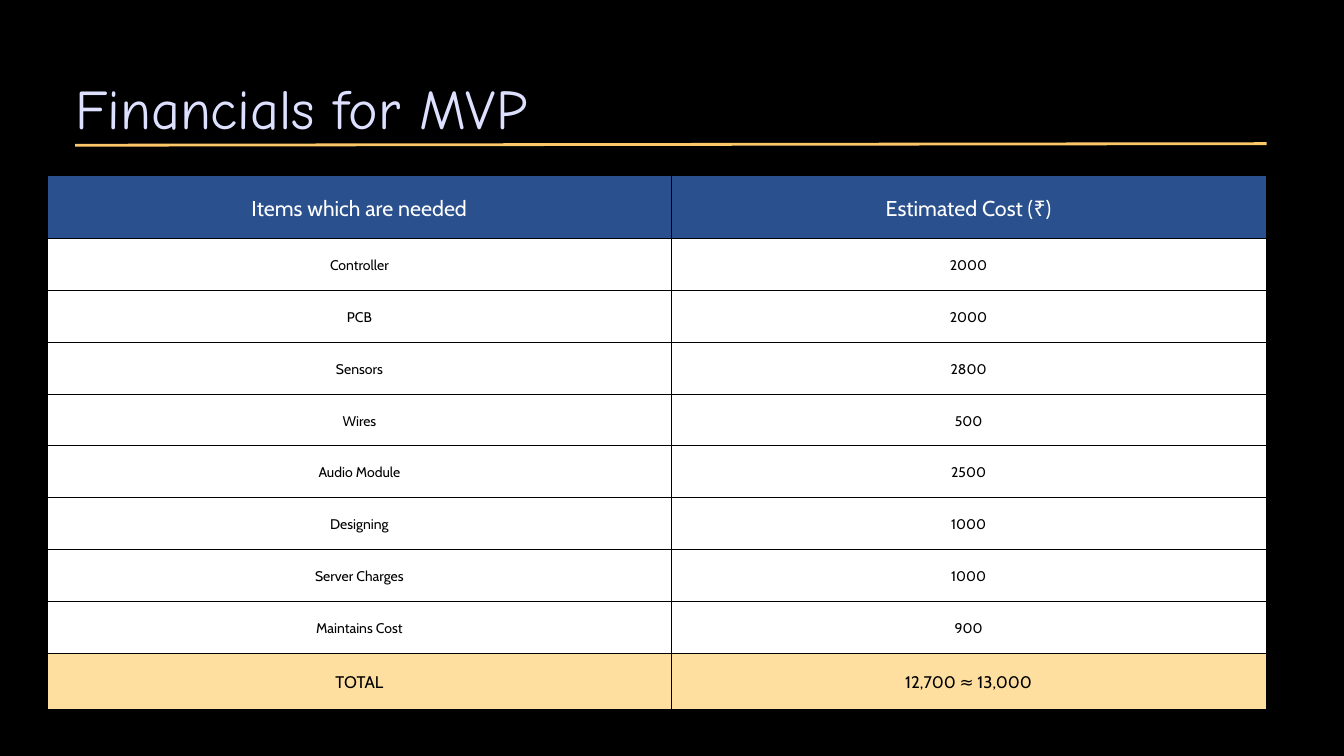
"""Build the cost table slide."""
from lxml import etree
from pptx import Presentation
from pptx.dml.color import RGBColor
from pptx.enum.shapes import MSO_CONNECTOR as Connector
from pptx.enum.text import MSO_ANCHOR as Anchor, MSO_AUTO_SIZE as AutoSize, PP_ALIGN as Align
from pptx.oxml.ns import qn
from pptx.util import Cm, Pt

BLACK, WHITE, BLUE, SAND = "000000", "FFFFFF", "2A508D", "FEDFA0"
LAVENDER, GOLD = "DDE1FF", "FEC868"
HEADER = ("Items which are needed", "Estimated Cost (₹)")
COSTS = [
    ("Controller", "2000"),
    ("PCB", "2000"),
    ("Sensors", "2800"),
    ("Wires", "500"),
    ("Audio Module", "2500"),
    ("Designing", "1000"),
    ("Server Charges", "1000"),
    ("Maintains Cost", "900"),
]
TOTAL = ("TOTAL", "12,700 ≈ 13,000")


def color(value):
    """Turn a hex string into a colour."""
    return RGBColor.from_string(value)


def set_margins(holder, margin):
    """Give a cell or text frame the same margin on all sides."""
    for side in ("left", "top", "right", "bottom"):
        setattr(holder, f"margin_{side}", margin)


def write(para, text, font, size, ink, spacing):
    """Add one styled run to a paragraph."""
    para.line_spacing = Pt(spacing)
    span = para.add_run()
    span.text = text
    span.font.name = font
    span.font.size = Pt(size)
    span.font.color.rgb = color(ink)


def add_title(page, text):
    """Add the slide title."""
    box = page.shapes.add_textbox(Cm(2.84), Cm(3.2), Cm(24.1), Cm(2.26))
    frame = box.text_frame
    frame.word_wrap = True
    frame.auto_size = AutoSize.SHAPE_TO_FIT_TEXT
    set_margins(frame, 0)
    write(frame.paragraphs[0], text, "Comic Neue", 60, LAVENDER, 60)


def add_rule(page):
    """Add the slightly slanted line below the title."""
    rule = page.shapes.add_connector(Connector.STRAIGHT, Cm(2.84), Cm(5.49), Cm(47.88), Cm(5.43))
    rule.line.color.rgb = color(GOLD)
    rule.line.width = Pt(3)
    etree.SubElement(rule._element.spPr, qn("a:effectLst"))


def add_borders(cell, ink, width):
    """Draw a thin line on each side of a cell."""
    properties = cell._tc.get_or_add_tcPr()
    for side in ("lnL", "lnR", "lnT", "lnB"):
        border = etree.SubElement(properties, qn(f"a:{side}"), w=str(Pt(width)))
        fill = etree.SubElement(border, qn("a:solidFill"))
        etree.SubElement(fill, qn("a:srgbClr"), val=ink)


def fill_row(row, texts, height, size, ink, background):
    """Set the height, text and look of one table row."""
    row.height = Cm(height)
    for cell, text in zip(row.cells, texts):
        add_borders(cell, BLACK, 0.75)
        cell.fill.solid()
        cell.fill.fore_color.rgb = color(background)
        cell.vertical_anchor = Anchor.MIDDLE
        set_margins(cell, Cm(0.53))
        para = cell.text_frame.paragraphs[0]
        para.alignment = Align.CENTER
        write(para, text, "Cabin", size, ink, size * 1.4)


def add_cost_table(page):
    """Add the table of items, costs and total."""
    frame = page.shapes.add_table(len(COSTS) + 2, 2, Cm(1.8), Cm(6.62), Cm(46.05), Cm(20.18))
    table = frame.table
    table.first_row = False
    table.horz_banding = False
    for column, width in zip(table.columns, (23.57, 22.48)):
        column.width = Cm(width)
    header, *items, total = table.rows
    fill_row(header, HEADER, 2.39, 23, WHITE, BLUE)
    for row, texts in zip(items, COSTS):
        fill_row(row, texts, 1.96, 15, BLACK, WHITE)
    fill_row(total, TOTAL, 2.11, 18, BLACK, SAND)


def main():
    """Build and save the deck."""
    deck = Presentation()
    deck.slide_width, deck.slide_height = Cm(50.8), Cm(28.58)
    page = deck.slides.add_slide(deck.slide_layouts[6])
    page.background.fill.solid()
    page.background.fill.fore_color.rgb = color(BLACK)
    add_cost_table(page)
    add_title(page, "Financials for MVP")
    add_rule(page)
    deck.save("out.pptx")


if __name__ == "__main__":
    main()
